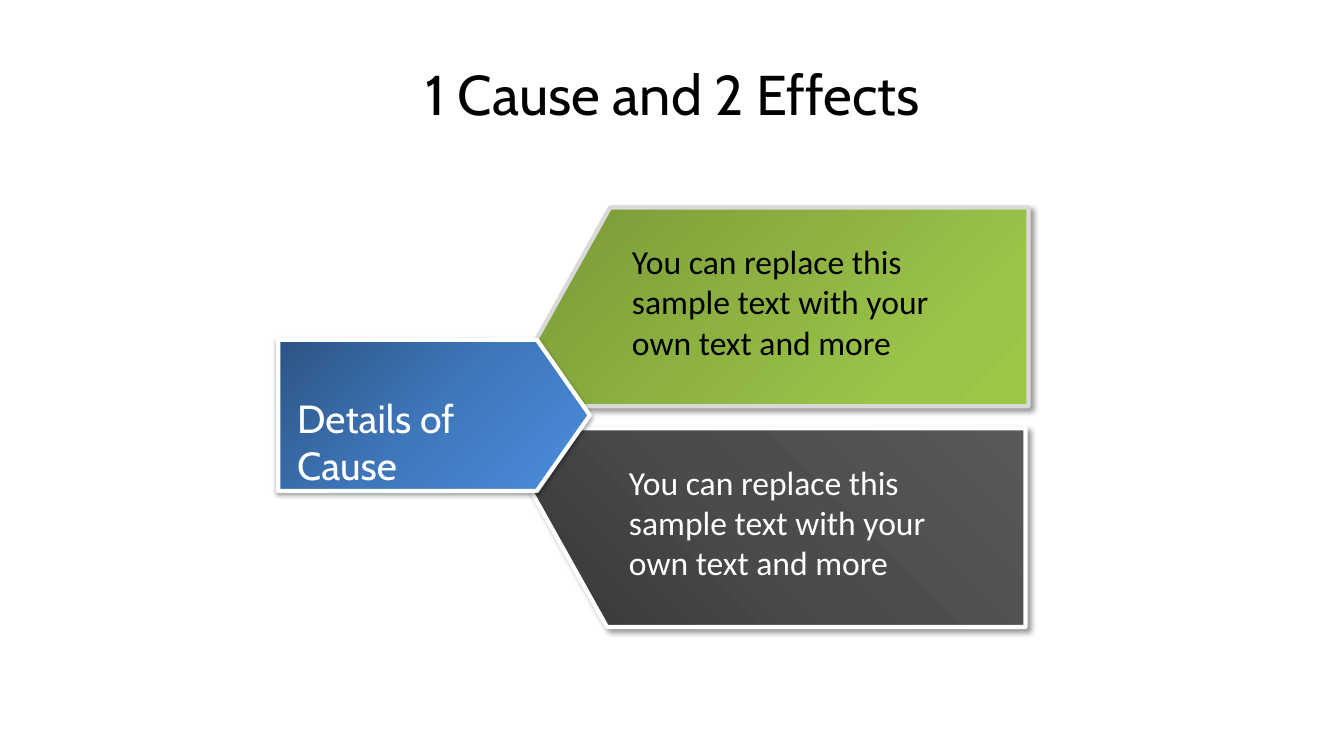
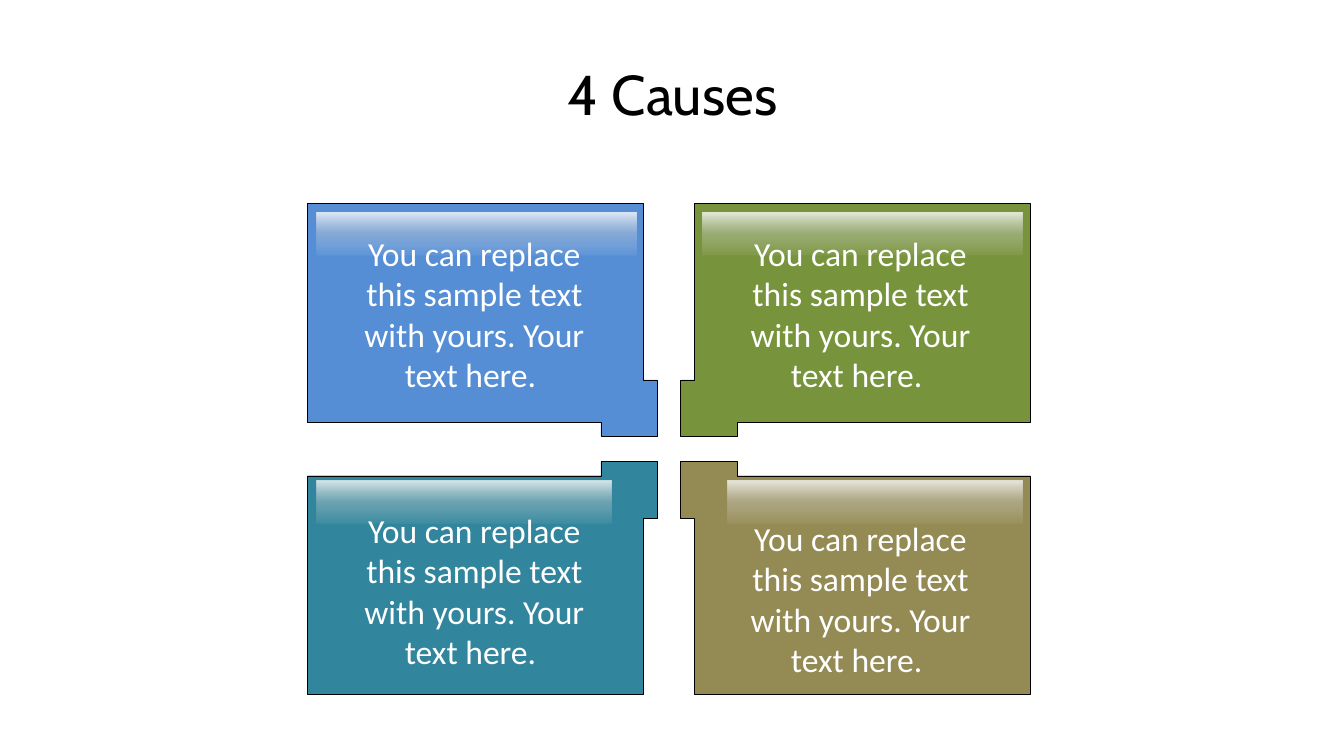
from dataclasses import dataclass

from lxml import etree
from pptx import Presentation
from pptx.dml.color import RGBColor
from pptx.enum.shapes import MSO_SHAPE
from pptx.enum.text import MSO_ANCHOR, MSO_AUTO_SIZE, PP_ALIGN
from pptx.oxml.ns import qn
from pptx.util import Inches, Pt

PENTAGON = MSO_SHAPE.PENTAGON
RECTANGLE = MSO_SHAPE.RECTANGLE
TOP, MIDDLE = MSO_ANCHOR.TOP, MSO_ANCHOR.MIDDLE
GROW, FIXED = MSO_AUTO_SIZE.SHAPE_TO_FIT_TEXT, MSO_AUTO_SIZE.NONE
LEFT, CENTER = PP_ALIGN.LEFT, PP_ALIGN.CENTER


@dataclass(frozen=True)
class Theme:
    heading_font: str = "Cabin"
    body_font: str = "Calibri"
    title_size: int = 40
    cause_size: int = 28
    body_size: int = 24
    thick_line: float = 3
    thin_line: float = 0.25
    dark: str = "000000"
    light: str = "FFFFFF"
    soft_edge: str = "D9D9D9"
    blue: str = "558ED5"
    green: str = "77933C"
    teal: str = "31859C"
    olive: str = "948A54"
    blue_fade: tuple = ((0, "2D5484", 100), (50, "3F77BB", 100), (100, "4B8DDE", 100))
    green_fade: tuple = ((0, "779737", 100), (80, "9BC348", 100), (100, "9DC746", 100))
    gray_fade: tuple = ((0, "353535", 100), (50, "4B4B4B", 100), (100, "595959", 100))
    gloss_fade: tuple = ((0, "FFFFFF", 81), (50, "D9D9D9", 35), (100, "F2F2F2", 5))


class Deck:
    def __init__(self, theme):
        self.theme = theme
        self.presentation = Presentation()
        self.presentation.slide_width = Inches(13.33)
        self.presentation.slide_height = Inches(7.5)
        self.slide = None

    def add_slide(self, title):
        layout = self.presentation.slide_layouts[6]
        self.slide = self.presentation.slides.add_slide(layout)
        self.text(title, (0.67, 0.3, 12, 1.25), self.theme.title_size, self.theme.dark,
                  self.theme.heading_font, CENTER, MIDDLE, FIXED)

    def text(self, words, box, size, color, font, align=LEFT, anchor=TOP, fit=GROW):
        shape = self.slide.shapes.add_textbox(*map(Inches, box))
        frame = shape.text_frame
        frame.word_wrap = True
        frame.auto_size = fit
        frame.vertical_anchor = anchor
        paragraph = frame.paragraphs[0]
        paragraph.text = words
        paragraph.alignment = align
        paragraph.font.name = font
        paragraph.font.size = Pt(size)
        paragraph.font.color.rgb = RGBColor.from_string(color)

    def body(self, words, box, color, align=LEFT):
        self.text(words, box, self.theme.body_size, color, self.theme.body_font, align)

    def outline(self, points):
        corners = [(Inches(x), Inches(y)) for x, y in points]
        builder = self.slide.shapes.build_freeform(*corners[0])
        builder.add_line_segments(corners[1:], close=True)
        shape = builder.convert_to_shape()
        shape.shadow.inherit = False
        return shape

    def preset(self, kind, box):
        shape = self.slide.shapes.add_shape(kind, *map(Inches, box))
        shape.shadow.inherit = False
        return shape

    def line(self, shape, color, width):
        shape.line.color.rgb = RGBColor.from_string(color)
        shape.line.width = Pt(width)

    def color_node(self, parent, color, opacity):
        node = etree.SubElement(parent, qn("a:srgbClr"), val=color)
        if opacity < 100:
            etree.SubElement(node, qn("a:alpha"), val=str(opacity * 1000))

    def fade(self, shape, stops, angle):
        shape.fill.background()
        properties = shape.element.spPr
        gradient = etree.Element(qn("a:gradFill"), rotWithShape="1")
        stop_list = etree.SubElement(gradient, qn("a:gsLst"))
        for position, color, opacity in stops:
            stop = etree.SubElement(stop_list, qn("a:gs"), pos=str(position * 1000))
            self.color_node(stop, color, opacity)
        etree.SubElement(gradient, qn("a:lin"), ang=str(angle * 60000), scaled="0")
        properties.replace(properties.find(qn("a:noFill")), gradient)

    def cast_shadow(self, shape, opacity, blur, distance, angle):
        effects = shape.element.spPr.find(qn("a:effectLst"))
        shadow = etree.SubElement(effects, qn("a:outerShdw"), blurRad=str(Pt(blur)),
                                  dist=str(Pt(distance)), dir=str(angle * 60000),
                                  algn="tl", rotWithShape="0")
        self.color_node(shadow, self.theme.dark, opacity)

    def effect(self, left, tip, far, stops, angle, edge):
        right = left + 5.25
        shape = self.outline([(left, tip), (left + 1.1, far), (right, far), (right, tip)])
        self.fade(shape, stops, angle)
        self.line(shape, edge, self.theme.thick_line)
        self.cast_shadow(shape, 40, 4, 3, 45)

    def cause(self, words, box, text_box):
        shape = self.preset(PENTAGON, box)
        shape.adjustments[0] = 0.35
        self.fade(shape, self.theme.blue_fade, 45)
        self.line(shape, self.theme.light, self.theme.thick_line)
        self.cast_shadow(shape, 35, 3.1, 1.8, 90)
        self.text(words, text_box, self.theme.cause_size, self.theme.light,
                  self.theme.heading_font)

    def tile(self, x, y, across, down, color):
        steps = [(0, 0), (0, 0.56), (0.14, 0.56), (0.14, 2.31),
                 (3.47, 2.31), (3.47, 0.14), (0.56, 0.14), (0.56, 0)]
        shape = self.outline([(x + across * dx, y + down * dy) for dx, dy in steps])
        shape.fill.solid()
        shape.fill.fore_color.rgb = RGBColor.from_string(color)
        self.line(shape, self.theme.dark, self.theme.thin_line)

    def gloss(self, box):
        shape = self.preset(RECTANGLE, box)
        self.fade(shape, self.theme.gloss_fade, 90)
        shape.line.fill.background()


def build_effects(deck):
    theme = deck.theme
    words = "You can replace this sample text with your own text and more"
    deck.add_slide("1 Cause and 2 Effects")
    deck.effect(4.95, 4.03, 2.06, theme.green_fade, 45, theme.soft_edge)
    deck.body(words, (6.17, 2.34, 3.27, 1.31), theme.dark)
    deck.effect(4.92, 4.25, 6.22, theme.gray_fade, 315, theme.light)
    deck.body(words, (6.14, 4.53, 3.64, 1.31), theme.light)
    deck.cause("Details of Cause", (2.76, 3.37, 3.09, 1.5), (2.85, 3.86, 2.74, 0.57))


def build_causes(deck):
    theme = deck.theme
    words = "You can replace this sample text with yours. Your text here. "
    left, right, upper, lower = 6.52, 6.75, 4.33, 4.58
    tiles = [
        (left, upper, -1, -1, theme.blue, 2.26),
        (right, upper, 1, -1, theme.green, 2.26),
        (left, lower, -1, 1, theme.teal, 5.01),
        (right, lower, 1, 1, theme.olive, 5.09),
    ]
    deck.add_slide("4 Causes")
    for x, y, across, down, color, text_top in tiles:
        deck.tile(x, y, across, down, color)
        gloss_width, gloss_top = (3.17, 2.11) if down < 0 else (2.92, 4.77)
        gloss_left = x - 3.38 if across < 0 else x + 3.39 - gloss_width
        deck.gloss((gloss_left, gloss_top, gloss_width, 0.42))
        text_left = x - 3.23 if across < 0 else x + 0.37
        deck.body(words, (text_left, text_top, 2.83, 1.72), theme.light, CENTER)


def main():
    deck = Deck(Theme())
    build_effects(deck)
    build_causes(deck)
    deck.presentation.save("out.pptx")


if __name__ == "__main__":
    main()
